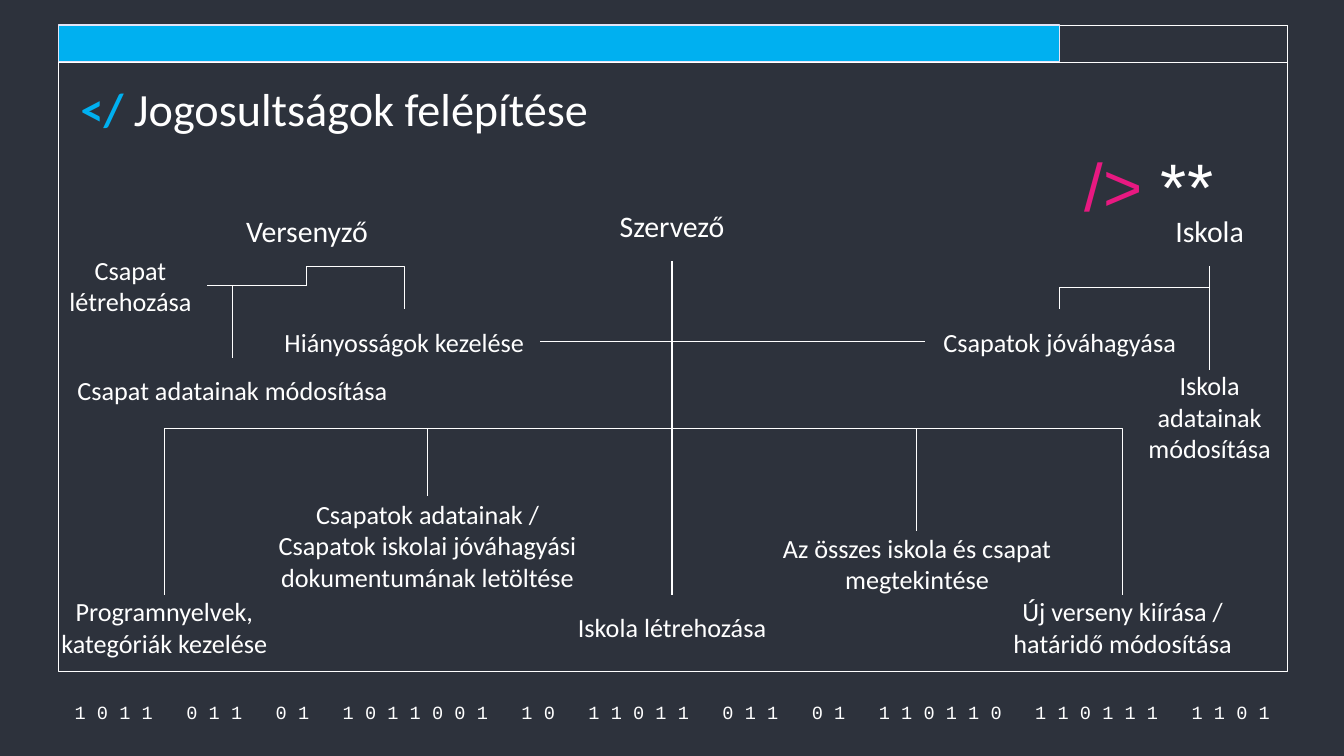
from dataclasses import dataclass
from typing import Optional

from lxml.etree import SubElement
from pptx import Presentation
from pptx.dml.color import RGBColor
from pptx.enum.shapes import MSO_CONNECTOR, MSO_SHAPE
from pptx.enum.text import MSO_ANCHOR, MSO_AUTO_SIZE, PP_ALIGN
from pptx.oxml.ns import qn
from pptx.util import Emu, Inches, Pt

COLORS = {"background": "2D323C", "text": "FFFFFF", "accent": "00B0F0",
          "accent_line": "E2E4F6", "tag": "E81981"}
SLIDE_WIDTH, SLIDE_HEIGHT = Inches(13.33), Inches(7.5)
TOP, LEFT, BOTTOM, RIGHT = range(4)
BITS = "1 0 1 1   0 1 1   0 1   1 0 1 1 0 0 1   1 0   1 1 0 1 1   0 1 1   0 1   1 1 0 1 1 0   1 1 0 1 1 1   1 1 0 1"


@dataclass
class Area:
    """A rectangle in percent of the slide's width and height."""
    left: float
    top: float
    width: float
    height: float

    def lengths(self) -> tuple:
        return (across(self.left), down(self.top), across(self.width), down(self.height))


@dataclass
class Node:
    """A label of the tree, placed by its centre and top in percent of the slide."""
    name: str
    text: str
    center: float
    top: float
    width: float = 25.58
    height: float = 8.53
    size: float = 18.7


@dataclass
class Branch:
    """A line from a parent's bottom; without a bend it turns once, into a child's side."""
    parent: str
    child: str
    bend: Optional[float] = None
    side: int = TOP


FRAME = Area(4.35, 3.33, 91.45, 85.47)
HEADER = Area(4.35, 3.33, 91.45, 4.93)
PROGRESS = Area(4.35, 3.33, 74.49, 4.8)
TITLE = Area(5.25, 9.33, 41.79, 8.13)
TAG = Area(78.84, 18.53, 13.28, 12.53)
FOOTER = Area(3.75, 92.4, 92.72, 3.47)

NODES = [
    Node("organizer", "Szervező", 50, 25.2, height=9.33, size=21.3),
    Node("competitor", "Versenyző", 22.84, 25.87, height=9.33, size=21.3),
    Node("school", "Iskola", 90, 25.87, height=9.33, size=21.3),
    Node("gaps", "Hiányosságok kezelése", 30.08, 40.93, 20.25),
    Node("approval", "Csapatok jóváhagyása", 78.84, 40.93, 20.1),
    Node("new team", "Csapat létrehozása", 9.71, 33.47, 11.33),
    Node("edit team", "Csapat adatainak módosítása", 17.29, 47.33),
    Node("edit school", "Iskola adatainak módosítása", 90, 48.93, 12.75, 12.4),
    Node("languages", "Programnyelvek, kategóriák kezelése", 12.23, 78.67, 17.7),
    Node("download", "Csapatok adatainak /\nCsapatok iskolai jóváhagyási dokumentumának letöltése",
         31.81, 65.6, 30.3, 13.07),
    Node("new school", "Iskola létrehozása", 50, 78.67),
    Node("overview", "Az összes iskola és csapat megtekintése", 68.23, 70.27),
    Node("new contest", "Új verseny kiírása / határidő módosítása", 83.53, 78.67, 23.03),
]
ORGANIZER_BEND = 56.67
BRANCHES = [
    Branch("organizer", "gaps", side=RIGHT),
    Branch("organizer", "approval", side=LEFT),
    *[Branch("organizer", child, ORGANIZER_BEND)
      for child in ("languages", "download", "new school", "overview", "new contest")],
    Branch("competitor", "new team", side=RIGHT),
    Branch("competitor", "edit team", 37.73),
    Branch("competitor", "gaps", 35.2),
    Branch("school", "approval", 38),
    Branch("school", "edit school", 38),
]


def across(percent: float) -> Emu:
    return Emu(round(SLIDE_WIDTH * percent / 100))


def down(percent: float) -> Emu:
    return Emu(round(SLIDE_HEIGHT * percent / 100))


def color(name: str) -> RGBColor:
    return RGBColor.from_string(COLORS[name])


def set_frame(text_frame, inset: float, anchor) -> None:
    text_frame.word_wrap = True
    text_frame.auto_size = MSO_AUTO_SIZE.NONE
    text_frame.vertical_anchor = anchor
    text_frame.margin_left = text_frame.margin_right = Inches(inset)
    text_frame.margin_top = text_frame.margin_bottom = Inches(inset)


def format_paragraph(paragraph, font: str, size: float, alignment=PP_ALIGN.CENTER) -> None:
    paragraph.alignment = alignment
    paragraph.font.name = font
    paragraph.font.size = Pt(size)
    paragraph.font.color.rgb = color("text")


def add_colored_runs(paragraph, mark: str, mark_color: str, text: str):
    """Write a coloured mark followed by text; return the mark's run."""
    mark_run = paragraph.add_run()
    mark_run.text = mark
    mark_run.font.color.rgb = color(mark_color)
    paragraph.add_run().text = text
    return mark_run


def add_bar(slide, area: Area, line: str, width: float, fill: Optional[str] = None) -> None:
    shape = slide.shapes.add_shape(MSO_SHAPE.RECTANGLE, *area.lengths())
    shape.shadow.inherit = False
    if fill:
        shape.fill.solid()
        shape.fill.fore_color.rgb = color(fill)
    else:
        shape.fill.background()
    shape.line.color.rgb = color(line)
    shape.line.width = Pt(width)


def add_node(slide, node: Node):
    area = Area(node.center - node.width / 2, node.top, node.width, node.height)
    shape = slide.shapes.add_shape(MSO_SHAPE.ROUNDED_RECTANGLE, *area.lengths())
    shape.adjustments[0] = 0
    shape.shadow.inherit = False
    shape.fill.background()
    shape.line.fill.background()
    set_frame(shape.text_frame, 0.13, MSO_ANCHOR.MIDDLE)
    shape.text_frame.text = node.text
    for paragraph in shape.text_frame.paragraphs:
        format_paragraph(paragraph, "Calibri", node.size)
    return shape


def bend_downwards(connector, bend: Optional[float]) -> None:
    """Turn an elbow by a quarter so that it leaves its start downwards."""
    start_x, start_y = connector.begin_x, connector.begin_y
    end_x, end_y = connector.end_x, connector.end_y
    drop, shift = end_y - start_y, abs(end_x - start_x)
    connector.left = Emu((start_x + end_x - drop) // 2)
    connector.top = Emu((start_y + end_y - shift) // 2)
    connector.width, connector.height = Emu(drop), Emu(shift)

    properties = connector._element.spPr
    transform = properties.find(qn("a:xfrm"))
    transform.set("rot", str(90 * 60000))
    transform.set("flipH", "0")
    transform.set("flipV", "1" if end_x > start_x else "0")
    geometry = properties.find(qn("a:prstGeom"))
    if bend is None:
        geometry.set("prst", "bentConnector2")
        return
    share = round((down(bend) - start_y) / drop * 100000)
    guides = geometry.find(qn("a:avLst"))
    SubElement(guides, qn("a:gd"), name="adj1", fmla=f"val {share}")


def add_branch(slide, branch: Branch, shapes: dict) -> None:
    parent, child = shapes[branch.parent], shapes[branch.child]
    straight = abs(parent.left + parent.width / 2 - child.left - child.width / 2) < Pt(1)
    kind = MSO_CONNECTOR.STRAIGHT if straight else MSO_CONNECTOR.ELBOW
    connector = slide.shapes.add_connector(kind, 0, 0, 0, 0)
    connector.begin_connect(parent, BOTTOM)
    connector.end_connect(child, branch.side)
    if not straight:
        bend_downwards(connector, branch.bend)
    connector.line.color.rgb = color("text")
    connector.line.width = Pt(0.75)
    SubElement(connector._element.spPr, qn("a:effectLst"))


def add_text_box(slide, area: Area, anchor):
    text_frame = slide.shapes.add_textbox(*area.lengths()).text_frame
    set_frame(text_frame, 0.13, anchor)
    return text_frame.paragraphs[0]


def format_title(title) -> None:
    title.left, title.top, title.width, title.height = TITLE.lengths()
    set_frame(title.text_frame, 0.1, MSO_ANCHOR.TOP)
    paragraph = title.text_frame.paragraphs[0]
    format_paragraph(paragraph, "Calibri", 33, PP_ALIGN.LEFT)
    add_colored_runs(paragraph, "</ ", "accent", "Jogosultságok felépítése").font.bold = True


def main() -> None:
    presentation = Presentation()
    presentation.slide_width, presentation.slide_height = SLIDE_WIDTH, SLIDE_HEIGHT
    slide = presentation.slides.add_slide(presentation.slide_layouts.get_by_name("Title Only"))
    slide.background.fill.solid()
    slide.background.fill.fore_color.rgb = color("background")

    add_bar(slide, FRAME, "text", 0.75)
    add_bar(slide, HEADER, "text", 0.75)
    add_bar(slide, PROGRESS, "accent_line", 1, "accent")
    format_title(slide.shapes.title)

    tag = add_text_box(slide, TAG, MSO_ANCHOR.TOP)
    format_paragraph(tag, "Arial", 48)
    tag.line_spacing = 0.9
    add_colored_runs(tag, "/>", "tag", " **")
    footer = add_text_box(slide, FOOTER, MSO_ANCHOR.MIDDLE)
    format_paragraph(footer, "Courier New", 13.3)
    footer.add_run().text = BITS

    shapes = {node.name: add_node(slide, node) for node in NODES}
    for branch in BRANCHES:
        add_branch(slide, branch, shapes)
    presentation.save("out.pptx")


if __name__ == "__main__":
    main()
